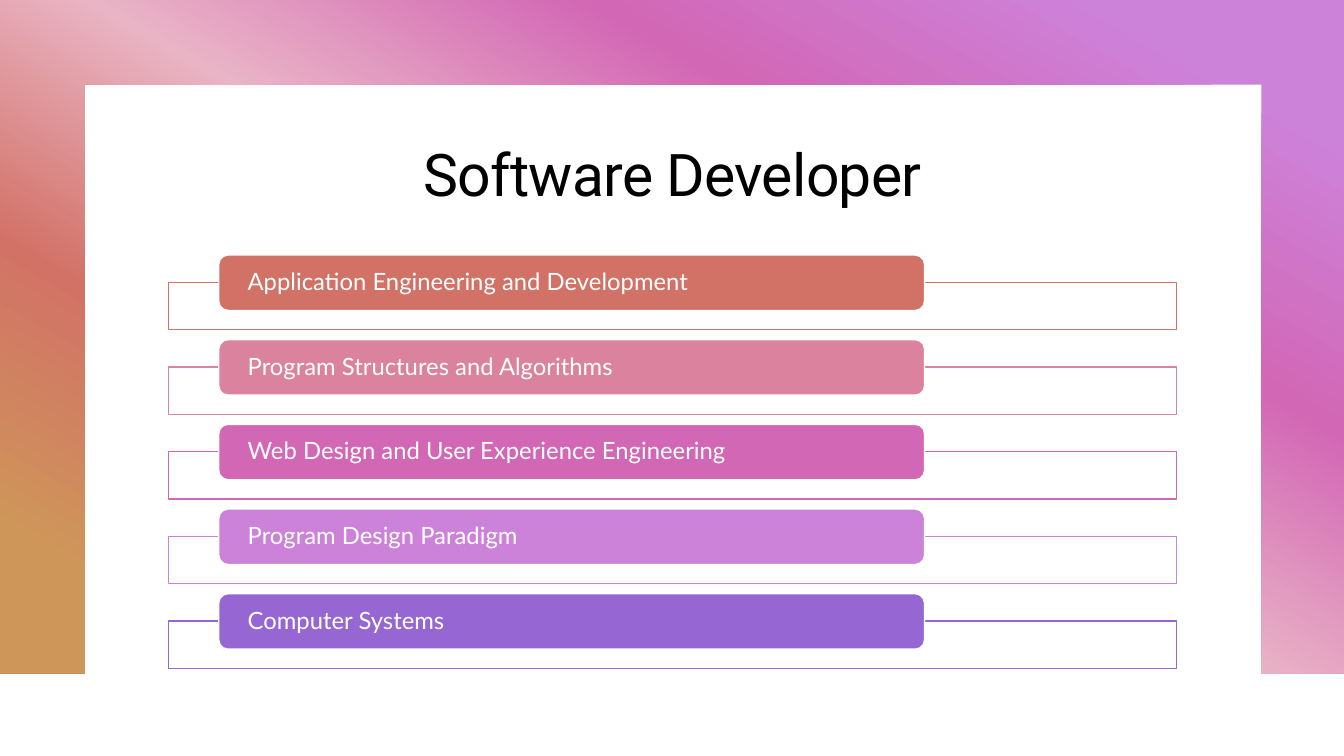
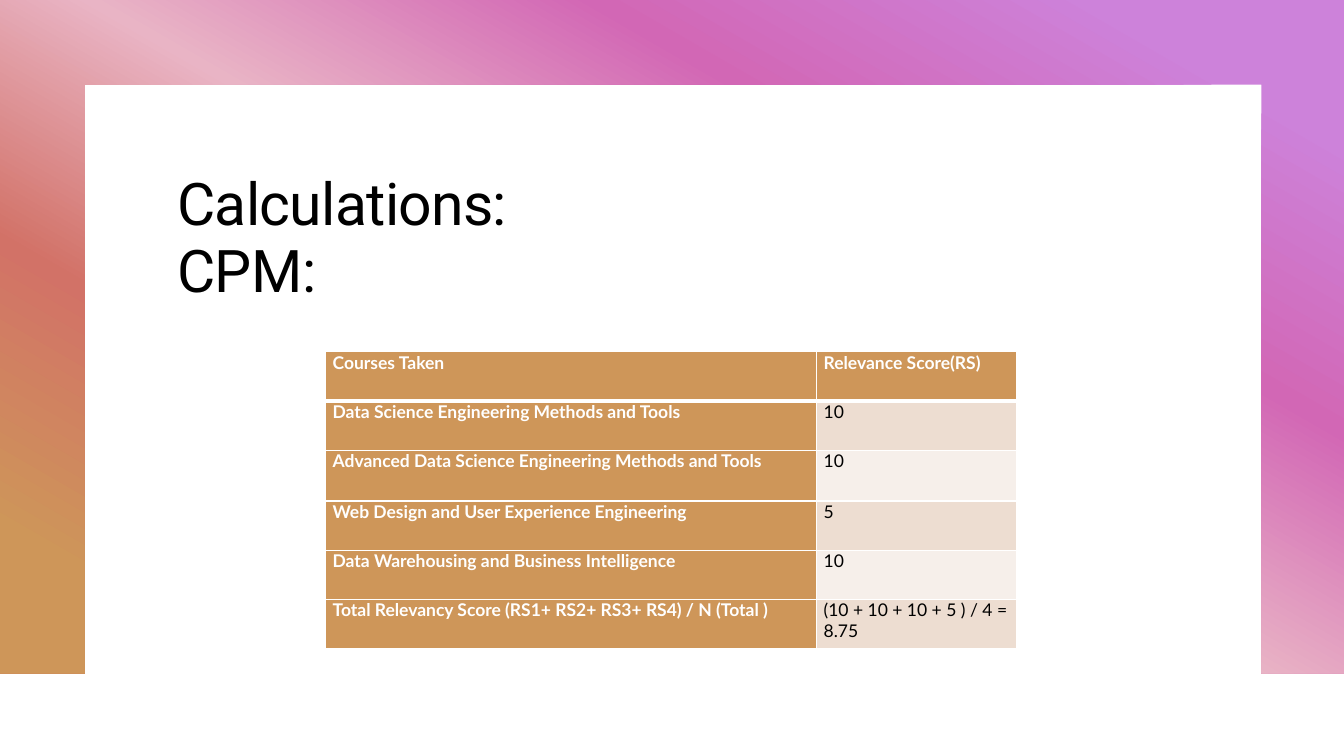
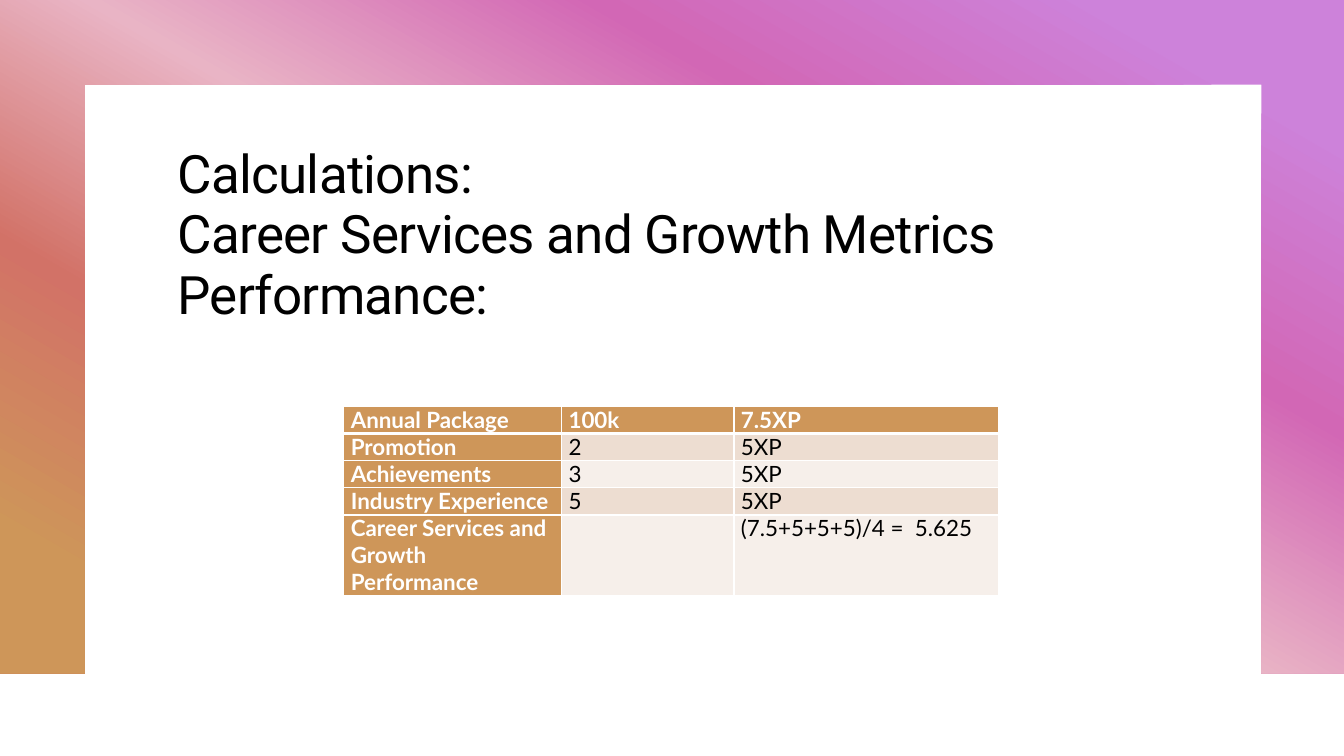
"""Build three slides on software developer courses and their scoring."""
from dataclasses import dataclass

from lxml import etree
from pptx import Presentation
from pptx import util as u
from pptx.dml.color import RGBColor
from pptx.enum import shapes, text
from pptx.oxml import ns

WHITE = RGBColor(0xFF, 0xFF, 0xFF)
BLACK = RGBColor(0x00, 0x00, 0x00)
OCHRE = RGBColor(0xCE, 0x96, 0x59)
CORAL = RGBColor(0xD2, 0x72, 0x67)
ROSE = RGBColor(0xDA, 0x82, 0x9E)
BLUSH = RGBColor(0xE9, 0xB4, 0xC5)
MAGENTA = RGBColor(0xD2, 0x67, 0xB5)
ORCHID = RGBColor(0xCD, 0x82, 0xDA)
VIOLET = RGBColor(0x96, 0x67, 0xD2)
BAND_DARK = RGBColor(0xED, 0xDD, 0xD1)
BAND_LIGHT = RGBColor(0xF6, 0xEF, 0xEA)

TITLE_FONT = "Roboto"
BODY_FONT = "Lato"
FRAME_STOPS = ((10, ORCHID), (30, MAGENTA), (50, BLUSH), (70, CORAL), (90, OCHRE))
FRAME_OUTLINE = (
    (13.33, 0), (13.33, 6.68), (12.51, 6.68), (12.51, 0.84),
    (0.84, 0.84), (0.84, 6.68), (0, 6.68),
)
COURSE_TOP = 2.53
COURSE_PITCH = 0.84


@dataclass(frozen=True)
class Title:
    lines: tuple[str, ...]
    left: float
    top: float
    height: float
    size: float = 42
    centred: bool = False


@dataclass(frozen=True)
class Course:
    name: str
    color: RGBColor


@dataclass(frozen=True)
class ScoreTable:
    left: float
    top: float
    widths: tuple[float, ...]
    heights: tuple[float, ...]
    size: float
    rows: tuple[tuple[str, ...], ...]


COURSES = (
    Course("Application Engineering and Development", CORAL),
    Course("Program Structures and Algorithms", ROSE),
    Course("Web Design and User Experience Engineering", MAGENTA),
    Course("Program Design Paradigm", ORCHID),
    Course("Computer Systems", VIOLET),
)

CALCULATIONS = (
    (
        Title(("Calculations:", "CPM:"), 1.66, 1.66, 1.47),
        ScoreTable(
            3.23, 3.49, (4.87, 1.98), (0.49, 0.49, 0.5, 0.49, 0.49, 0.49), 12.5,
            (
                ("Courses Taken", "Relevance Score(RS)"),
                ("Data Science Engineering Methods and Tools", "10"),
                ("Advanced Data Science Engineering Methods and Tools", "10"),
                ("Web Design and User Experience Engineering", "5"),
                ("Data Warehousing and Business Intelligence", "10"),
                ("Total Relevancy Score (RS1+ RS2+ RS3+ RS4) / N (Total )",
                 "(10 + 10 + 10 + 5 ) / 4 = 8.75"),
            ),
        ),
    ),
    (
        Title(
            ("Calculations:", "Career Services and Growth Metrics Performance:"),
            1.66, 1.39, 1.47, 37.8,
        ),
        ScoreTable(
            3.41, 4.03, (2.16, 1.71, 2.62), (0.27, 0.27, 0.27, 0.27, 0.8), 16,
            (
                ("Annual Package", "100k", "7.5XP"),
                ("Promotion", "2", "5XP"),
                ("Achievements", "3", "5XP"),
                ("Industry Experience", "5", "5XP"),
                ("Career Services and Growth Performance", "", "(7.5+5+5+5)/4 =  5.625"),
            ),
        ),
    ),
)


def add_run(paragraph, wording: str, font: str, size: float, color: RGBColor, bold: bool = False):
    """Append one formatted run and return it."""
    run = paragraph.add_run()
    run.text = wording
    run.font.name = font
    run.font.size = u.Pt(size)
    run.font.bold = bold
    run.font.color.rgb = color
    return run


def add_master_frame(presentation, slide) -> None:
    """Draw the gradient frame and move it to the slide master."""
    builder = slide.shapes.build_freeform(0, 0)
    builder.add_line_segments([(u.Inches(x), u.Inches(y)) for x, y in FRAME_OUTLINE], close=True)
    frame = builder.convert_to_shape()
    frame.shadow.inherit = False
    frame.line.fill.background()
    frame.fill.gradient()
    frame.fill.gradient_angle = 240
    stops = next(frame.element.iter(ns.qn("a:gsLst")))
    for stop in list(stops):
        stops.remove(stop)
    for percent, color in FRAME_STOPS:
        stop = etree.SubElement(stops, ns.qn("a:gs"), pos=str(percent * 1000))
        etree.SubElement(stop, ns.qn("a:srgbClr"), val=str(color))
    presentation.slide_master.shapes.element.insert(2, frame.element)


def set_title(slide, title: Title) -> None:
    """Place and format the title placeholder."""
    shape = slide.shapes.title
    shape.left, shape.top = u.Inches(title.left), u.Inches(title.top)
    shape.width, shape.height = u.Inches(10), u.Inches(title.height)
    frame = shape.text_frame
    frame.word_wrap = True
    frame.auto_size = text.MSO_AUTO_SIZE.NONE
    frame.vertical_anchor = text.MSO_ANCHOR.MIDDLE if title.centred else text.MSO_ANCHOR.TOP
    paragraph = frame.paragraphs[0]
    paragraph.alignment = text.PP_ALIGN.CENTER if title.centred else text.PP_ALIGN.LEFT
    paragraph.line_spacing = 0.95
    for index, line in enumerate(title.lines):
        if index:
            paragraph.add_line_break()
        run = add_run(paragraph, line, TITLE_FONT, title.size, BLACK)
        run.font._element.set("spc", "-50")


def add_box(slide, kind, box: tuple[float, ...], fill: RGBColor, line: RGBColor):
    """Add a filled and outlined preset shape."""
    shape = slide.shapes.add_shape(kind, *(u.Inches(length) for length in box))
    shape.shadow.inherit = False
    shape.fill.solid()
    shape.fill.fore_color.rgb = fill
    shape.line.color.rgb = line
    shape.line.width = u.Pt(1)
    return shape


def add_course(slide, course: Course, top: float) -> None:
    """Draw one course label over its outlined box."""
    rectangle, rounded = shapes.MSO_SHAPE.RECTANGLE, shapes.MSO_SHAPE.ROUNDED_RECTANGLE
    add_box(slide, rectangle, (1.67, top + 0.27, 10, 0.47), WHITE, course.color)
    label = add_box(slide, rounded, (2.17, top, 7, 0.55), course.color, WHITE)
    frame = label.text_frame
    frame.word_wrap = True
    frame.vertical_anchor = text.MSO_ANCHOR.MIDDLE
    frame.margin_left = frame.margin_right = u.Inches(0.26)
    frame.margin_top = frame.margin_bottom = 0
    paragraph = frame.paragraphs[0]
    paragraph.alignment = text.PP_ALIGN.LEFT
    paragraph.line_spacing = 0.9
    add_run(paragraph, course.name, BODY_FONT, 17, WHITE)


def set_borders(cell, row: int) -> None:
    """Give a cell white borders, thick below the header row."""
    properties = cell._tc.get_or_add_tcPr()
    thick_side = {0: "B", 1: "T"}.get(row)
    for side in "LRTB":
        width = u.Pt(3 if side == thick_side else 1)
        line = etree.SubElement(properties, ns.qn(f"a:ln{side}"), w=str(width))
        fill = etree.SubElement(line, ns.qn("a:solidFill"))
        etree.SubElement(fill, ns.qn("a:srgbClr"), val=str(WHITE))


def add_score_table(slide, scores: ScoreTable) -> None:
    """Add a table with a header row, a header column and banded values."""
    lengths = (scores.left, scores.top, sum(scores.widths), sum(scores.heights))
    table = slide.shapes.add_table(
        len(scores.rows), len(scores.widths), *(u.Inches(length) for length in lengths)
    ).table
    for column, width in zip(table.columns, scores.widths):
        column.width = u.Inches(width)
    for row, height in zip(table.rows, scores.heights):
        row.height = u.Inches(height)
    for row, values in enumerate(scores.rows):
        for column, value in enumerate(values):
            cell = table.cell(row, column)
            heading = row == 0 or column == 0
            set_borders(cell, row)
            cell.fill.solid()
            cell.fill.fore_color.rgb = OCHRE if heading else BAND_DARK if row % 2 else BAND_LIGHT
            cell.margin_left = cell.margin_right = u.Inches(0.07)
            cell.margin_top = cell.margin_bottom = 0
            if value:
                color = WHITE if heading else BLACK
                paragraph = cell.text_frame.paragraphs[0]
                add_run(paragraph, value, BODY_FONT, scores.size, color, heading)


def main() -> None:
    """Build and save the presentation."""
    presentation = Presentation()
    presentation.slide_width, presentation.slide_height = u.Inches(13.33), u.Inches(7.5)
    layout = presentation.slide_layouts.get_by_name("Title Only")

    slide = presentation.slides.add_slide(layout)
    add_master_frame(presentation, slide)
    set_title(slide, Title(("Software Developer",), 1.67, 1.24, 1.01, centred=True))
    for index, course in enumerate(COURSES):
        add_course(slide, course, COURSE_TOP + index * COURSE_PITCH)

    for title, scores in CALCULATIONS:
        slide = presentation.slides.add_slide(layout)
        set_title(slide, title)
        add_score_table(slide, scores)

    presentation.save("out.pptx")


if __name__ == "__main__":
    main()
